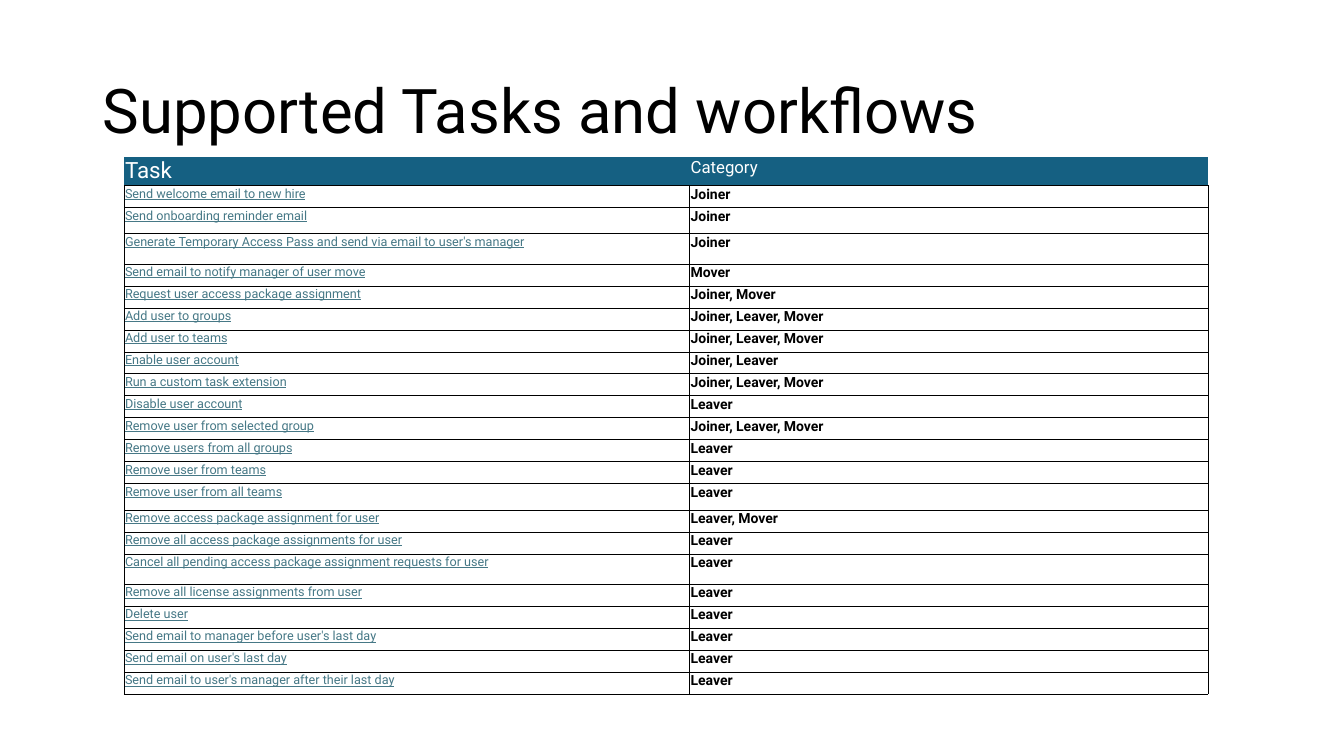
import pptx
import pptx.dml.color
import pptx.enum.text
import pptx.oxml.ns
import pptx.util
from lxml import etree

Inches = pptx.util.Inches
Pt = pptx.util.Pt

COLORS = {"black": "000000", "white": "FFFFFF", "header": "156082", "link": "467886"}
FONT = "Roboto"
TITLE_BOX = (0.92, 0.4, 11.5, 1.45)
TABLE_BOX = (1.23, 1.56, 10.75, 5.32)
TASK_WIDTH = 5.61
HEADER_HEIGHT = 0.27
TALL_ROWS = {2: 0.26, 3: 0.3, 14: 0.26, 17: 0.3}
BORDER_WIDTH = 0.25
CELL_MARGIN = 0.01

TASKS = [
    ("Send welcome email to new hire", "Joiner"),
    ("Send onboarding reminder email", "Joiner"),
    ("Generate Temporary Access Pass and send via email to user's manager", "Joiner"),
    ("Send email to notify manager of user move", "Mover"),
    ("Request user access package assignment", "Joiner, Mover"),
    ("Add user to groups", "Joiner, Leaver, Mover"),
    ("Add user to teams", "Joiner, Leaver, Mover"),
    ("Enable user account", "Joiner, Leaver"),
    ("Run a custom task extension", "Joiner, Leaver, Mover"),
    ("Disable user account", "Leaver"),
    ("Remove user from selected group", "Joiner, Leaver, Mover"),
    ("Remove users from all groups", "Leaver"),
    ("Remove user from teams", "Leaver"),
    ("Remove user from all teams", "Leaver"),
    ("Remove access package assignment for user", "Leaver, Mover"),
    ("Remove all access package assignments for user", "Leaver"),
    ("Cancel all pending access package assignment requests for user", "Leaver"),
    ("Remove all license assignments from user", "Leaver"),
    ("Delete user", "Leaver"),
    ("Send email to manager before user's last day", "Leaver"),
    ("Send email on user's last day", "Leaver"),
    ("Send email to user's manager after their last day", "Leaver"),
]


def rgb(name):
    return pptx.dml.color.RGBColor.from_string(COLORS[name])


def write(tf, text, size, color, bold=False, underline=False, spacing=None):
    p = tf.paragraphs[0]
    p.alignment = pptx.enum.text.PP_ALIGN.LEFT
    p.line_spacing = spacing
    r = p.add_run()
    r.text = text
    r.font.name = FONT
    r.font.size = Pt(size)
    r.font.bold = bold
    r.font.underline = underline
    r.font.color.rgb = rgb(color)


def set_borders(cell, sides):
    """Draw the listed sides (of L, R, T, B) in black and clear the others."""
    tc_pr = cell._tc.get_or_add_tcPr()
    qn = pptx.oxml.ns.qn
    for side in "LRTB":
        ln = etree.SubElement(tc_pr, qn(f"a:ln{side}"), w=str(Pt(BORDER_WIDTH)))
        if side in sides:
            fill = etree.SubElement(ln, qn("a:solidFill"))
            etree.SubElement(fill, qn("a:srgbClr"), val=COLORS["black"])
        else:
            etree.SubElement(ln, qn("a:noFill"))


def fill_cell(cell, text, fill, borders, **text_format):
    cell.margin_left = cell.margin_right = Inches(CELL_MARGIN)
    cell.margin_top = cell.margin_bottom = Inches(CELL_MARGIN)
    set_borders(cell, borders)
    cell.fill.solid()
    cell.fill.fore_color.rgb = rgb(fill)
    write(cell.text_frame, text, **text_format)


def add_title(slide, box, text):
    sp = slide.shapes.title
    sp.left, sp.top, sp.width, sp.height = map(Inches, box)
    tf = sp.text_frame
    tf.word_wrap = True
    tf.vertical_anchor = pptx.enum.text.MSO_ANCHOR.MIDDLE
    write(tf, text, size=44, color="black", spacing=0.9)


def add_task_table(slide, box):
    width, height = box[2:]
    frame = slide.shapes.add_table(len(TASKS) + 1, 2, *map(Inches, box))
    table = frame.table
    table.first_row = table.horz_banding = False
    table.columns[0].width = Inches(TASK_WIDTH)
    table.columns[1].width = Inches(width - TASK_WIDTH)

    fixed = {0: HEADER_HEIGHT, **TALL_ROWS}
    regular = (height - sum(fixed.values())) / (len(TASKS) + 1 - len(fixed))
    for i, row in enumerate(table.rows):
        row.height = Inches(fixed.get(i, regular))

    for col, (text, size) in enumerate([("Task", 16), ("Category", 12)]):
        fill_cell(table.cell(0, col), text, "header", "B", size=size, color="white")
    for i, (task, category) in enumerate(TASKS, start=1):
        fill_cell(table.cell(i, 0), task, "white", "LRTB",
                  size=9, color="link", underline=True)
        fill_cell(table.cell(i, 1), category, "white", "LRTB",
                  size=10, color="black", bold=True)


def main():
    prs = pptx.Presentation()
    prs.slide_width = Inches(13.33)
    prs.slide_height = Inches(7.5)
    slide = prs.slides.add_slide(prs.slide_layouts[5])
    add_title(slide, TITLE_BOX, "Supported Tasks and workflows")
    add_task_table(slide, TABLE_BOX)
    prs.save("out.pptx")


if __name__ == "__main__":
    main()
